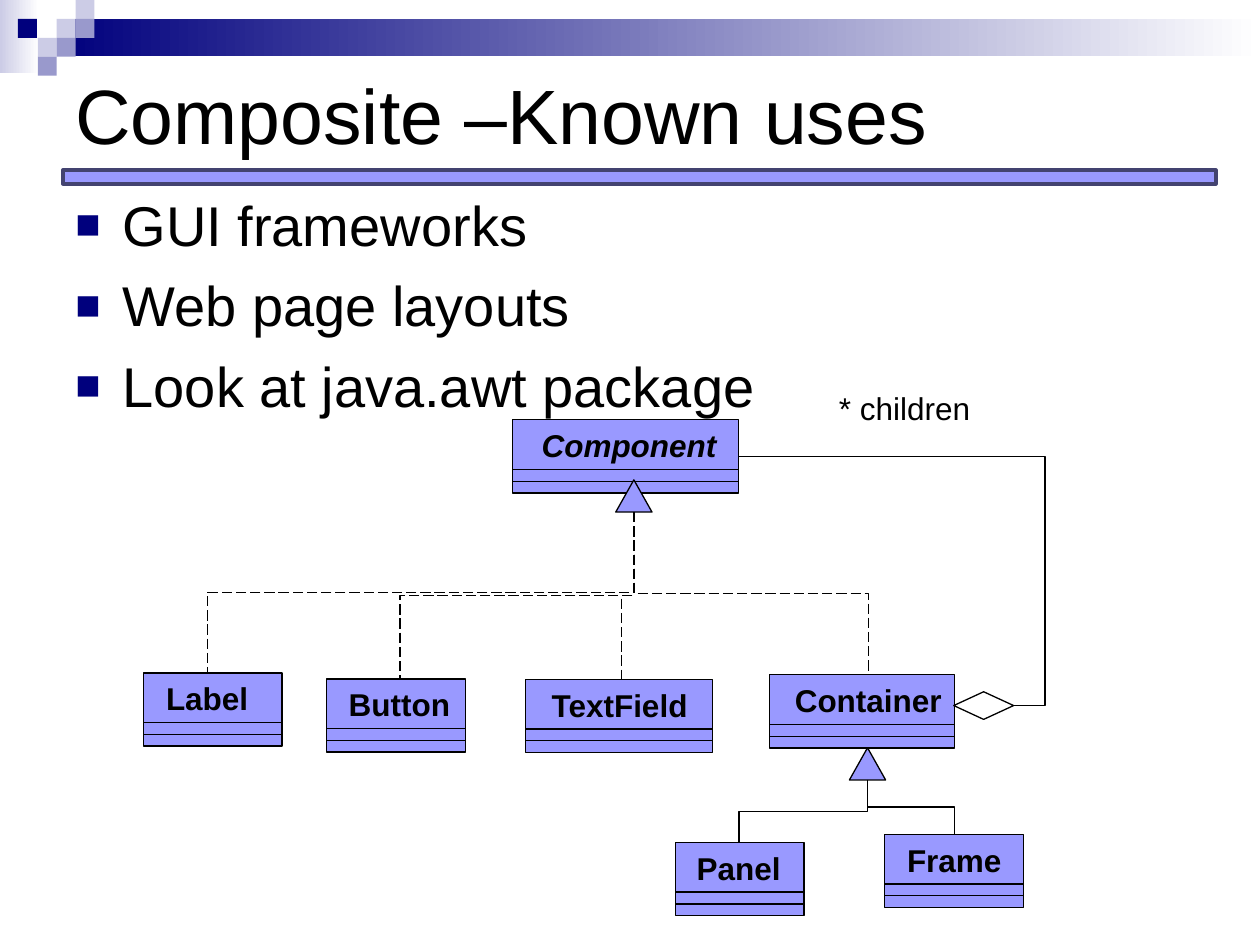
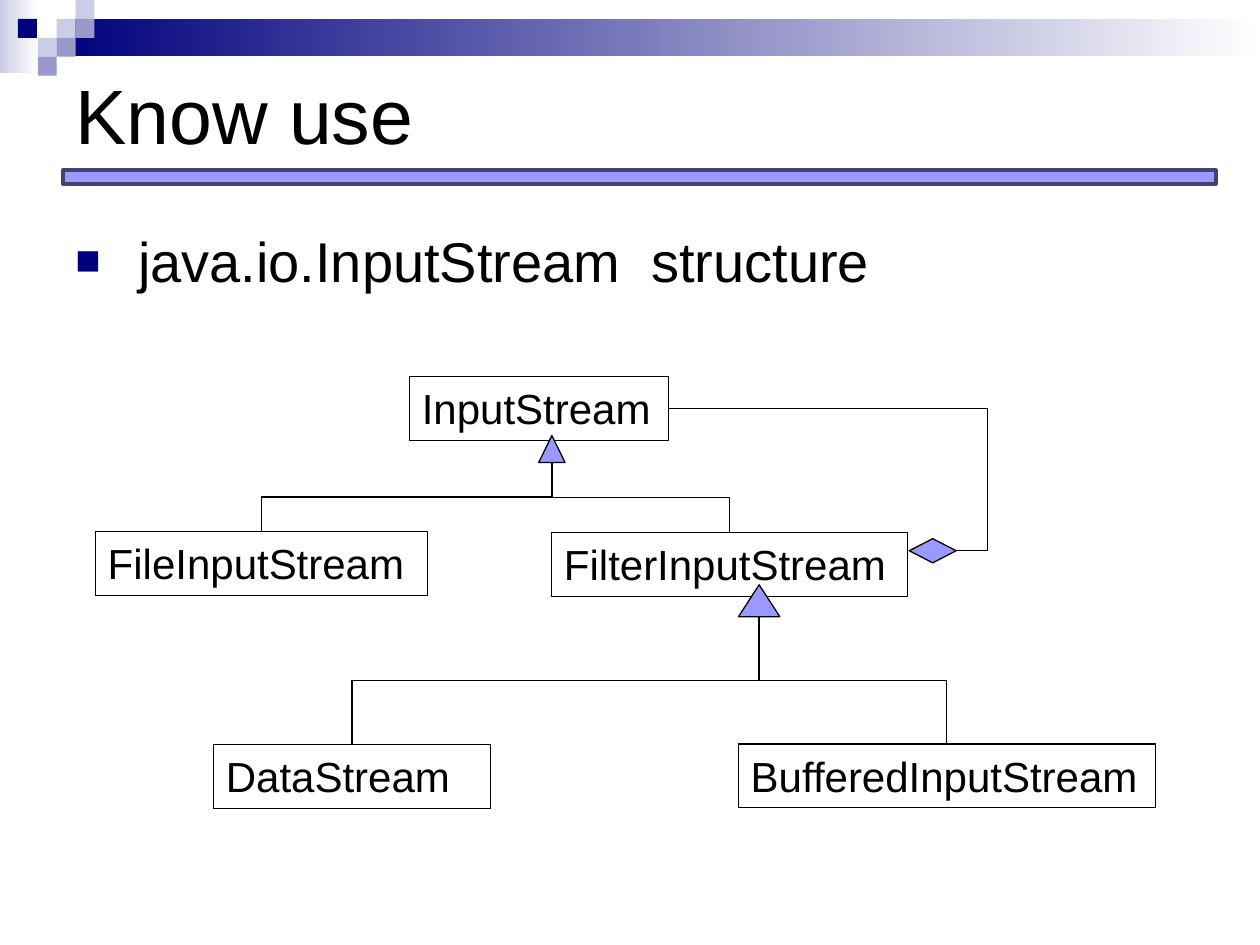
"""Build two slides on where the Composite pattern is used."""
import lxml.etree
import pptx
import pptx.dml.color
import pptx.enum.dml
import pptx.enum.shapes
import pptx.enum.text
import pptx.oxml.ns

Pt = pptx.util.Pt
Kind = pptx.enum.shapes.MSO_SHAPE
Wire = pptx.enum.shapes.MSO_CONNECTOR
Anchor = pptx.enum.text.MSO_ANCHOR
rgb = pptx.dml.color.RGBColor.from_string
qn = pptx.oxml.ns.qn


class Theme:
    font = "Arial"
    ink, white = "000000", "FFFFFF"
    navy, pale, mid = "00007D", "CCCCE6", "9999CC"
    lilac, rim = "9999FF", "434370"
    title, body, node, label = 44, 32, 24, 18
    thin, thick = 0.75, 2


def draw(parts, kind, box, fill=None, edge=None, width=Theme.thin):
    shape = parts.add_shape(kind, *map(Pt, box))
    shape.shadow.inherit = False
    if isinstance(fill, tuple):
        shape.fill.gradient()
        shape.fill.gradient_angle = 0
        for stop, tone in zip(shape.fill.gradient_stops, fill):
            stop.color.rgb = rgb(tone)
    elif fill:
        shape.fill.solid()
        shape.fill.fore_color.rgb = rgb(fill)
    else:
        shape.fill.background()
    if edge:
        shape.line.color.rgb = rgb(edge)
        shape.line.width = Pt(width)
    else:
        shape.line.fill.background()
    return shape


def write(par, text, size, bold=False, slant=False):
    par.alignment = pptx.enum.text.PP_ALIGN.LEFT
    run = par.add_run()
    run.text = text
    run.font.name, run.font.size = Theme.font, Pt(size)
    run.font.bold, run.font.italic = bold, slant
    run.font.color.rgb = rgb(Theme.ink)


deck = pptx.Presentation()
deck.slide_width, deck.slide_height = Pt(720), Pt(540)

bands = [
    ((0, 0, 22.3, 41.8), (Theme.pale, Theme.white)),
    ((32.4, 10.8, 687.6, 21.3), (Theme.navy, Theme.white)),
]
tile = 10.8
tiles = [
    (3, 1, Theme.pale), (4, 0, Theme.pale), (4, 1, Theme.mid),
    (2, 2, Theme.pale), (0.95, 1, Theme.navy), (3, 2, Theme.mid),
    (2, 3, Theme.mid),
]
pages = [
    ("Composite –Known uses", 105.1, 357,
     ["GUI frameworks", "Web page layouts", "Look at java.awt package"]),
    ("Know use", 126, 95, [" java.io.InputStream  structure"]),
]
slides = []
for title, top, height, points in pages:
    slide = deck.slides.add_slide(deck.slide_layouts[6])
    slides.append(slide.shapes)
    for box, tones in bands:
        draw(slide.shapes, Kind.RECTANGLE, box, tones)
    for col, row, tone in tiles:
        box = (col * tile, row * tile, tile, tile)
        draw(slide.shapes, Kind.RECTANGLE, box, tone)
    draw(slide.shapes, Kind.RECTANGLE, (36, 97.2, 658.8, 7.9),
         Theme.lilac, Theme.rim, Theme.thick)

    frame = slide.shapes.add_textbox(*map(Pt, (36, 10.8, 648, 108))).text_frame
    frame.word_wrap = True
    frame.vertical_anchor = Anchor.MIDDLE
    write(frame.paragraphs[0], title, Theme.title)

    frame = slide.shapes.add_textbox(*map(Pt, (36, top, 648, height))).text_frame
    frame.word_wrap = True
    for rank, point in enumerate(points):
        par = frame.add_paragraph() if rank else frame.paragraphs[0]
        write(par, point, Theme.body)
        par.space_before = Pt(7.8)
        props = par._p.get_or_add_pPr()
        props.set("marL", str(Pt(27)))
        props.set("indent", str(Pt(-27)))
        tint = lxml.etree.SubElement(props, qn("a:buClr"))
        lxml.etree.SubElement(tint, qn("a:srgbClr"), val=Theme.navy)
        lxml.etree.SubElement(props, qn("a:buSzPct"), val="75000")
        lxml.etree.SubElement(props, qn("a:buFont"), typeface=Theme.font)
        lxml.etree.SubElement(props, qn("a:buChar"), char="■")

uses, streams = slides
tops, sides, wires = {}, {}, []

classes = [
    ("Component", 293, 239.9, 128.9, 302.4, 114.5),
    ("Label", 81.8, 384.5, 79.4, 87.8, 61.2),
    ("Container", 439.8, 385.6, 105.8, 447.1, 98.6),
    ("Button", 186.6, 388, 79.5, 192.2, 72.7),
    ("TextField", 300.4, 388.2, 106.8, 308.2, 93.6),
    ("Panel", 385.9, 481.5, 73.6, 391, 62.6),
    ("Frame", 505.4, 476.8, 79.4, 511.2, 68.4),
]
for name, left, top, width, start, span in classes:
    parts = uses.add_group_shape().shapes
    draw(parts, Kind.RECTANGLE, (left, top, width, 41.8),
         Theme.lilac, Theme.ink)
    frame = parts.add_textbox(*map(Pt, (start, top, span, 28.8))).text_frame
    frame.word_wrap = False
    write(frame.paragraphs[0], name, Theme.label, True, name == "Component")
    for drop in (28.3, 35.1):
        ends = (left, top + drop, left + width, top + drop)
        wires.append(parts.add_connector(Wire.STRAIGHT, *map(Pt, ends)))
    tops[name] = (start + span / 2, top)
    sides[name] = (left + width, top + 20.9)

frame = uses.add_textbox(*map(Pt, (472.3, 218.9, 90, 28.8))).text_frame
frame.word_wrap = False
write(frame.paragraphs[0], "* children", Theme.label)

nodes = [
    ("InputStream", 234, 215.1, 147.9),
    ("FileInputStream", 54.5, 303.7, 189.7),
    ("FilterInputStream", 315.2, 304.3, 203.4),
    ("BufferedInputStream", 421.9, 425.1, 238.3),
    ("DataStream", 122, 425.4, 158.4),
]
for name, left, top, width in nodes:
    node = draw(streams, Kind.RECTANGLE, (left, top, width, 36.5),
                None, Theme.ink)
    node.text_frame.word_wrap = True
    node.text_frame.vertical_anchor = Anchor.TOP
    write(node.text_frame.paragraphs[0], name, Theme.node)
    tops[name] = (left + width / 2, top)
    sides[name] = (left + width, top + 18.25)

trees = [
    (uses, (351.9, 274.2, 20.7, 18.4), True,
     ["Container", "Label", "Button", "TextField"]),
    (uses, (485.4, 427.3, 20.7, 18.4), False, ["Panel", "Frame"]),
    (streams, (307.8, 248.9, 15.1, 15.4), False,
     ["FileInputStream", "FilterInputStream"]),
    (streams, (422, 334.2, 23.6, 18.2), False,
     ["DataStream", "BufferedInputStream"]),
]
for parts, box, dashed, heirs in trees:
    draw(parts, Kind.ISOSCELES_TRIANGLE, box, Theme.lilac, Theme.ink)
    left, top, width, height = box
    root, base = left + width / 2, top + height
    for heir in heirs:
        goal, end = tops[heir]
        turn = 1 if goal < root else -1
        mid, half = (root + goal) / 2, turn * (end - base) / 2
        level, reach = (base + end) / 2, abs(goal - root) / 2
        ends = (mid - half, level - reach, mid + half, level + reach)
        wire = parts.add_connector(Wire.ELBOW, *map(Pt, ends))
        wire._element.spPr.find(qn("a:xfrm")).set(
            "rot", str((90 if turn > 0 else 270) * 60000))
        if dashed:
            wire.line.dash_style = pptx.enum.dml.MSO_LINE.LONG_DASH
        wires.append(wire)

loops = [
    (uses, (545, 395.3, 34.2, 15.8), None, "Component"),
    (streams, (519.6, 307.8, 26.8, 13.8), Theme.lilac, "InputStream"),
]
bulge = 18
for parts, box, fill, whole in loops:
    draw(parts, Kind.DIAMOND, box, fill, Theme.ink)
    left, top, width, height = box
    start, goal = left + width, sides[whole]
    ends = (start, top + height / 2, *goal)
    wire = parts.add_connector(Wire.ELBOW, *map(Pt, ends))
    rate = round(-bulge / (start - goal[0]) * 100000)
    guides = wire._element.spPr.find(qn("a:prstGeom")).find(qn("a:avLst"))
    lxml.etree.SubElement(guides, qn("a:gd"), name="adj1", fmla=f"val {rate}")
    wires.append(wire)

for wire in wires:
    wire.line.color.rgb = rgb(Theme.ink)
    wire.line.width = Pt(Theme.thin)
    lxml.etree.SubElement(wire._element.spPr, qn("a:effectLst"))

deck.save("out.pptx")
